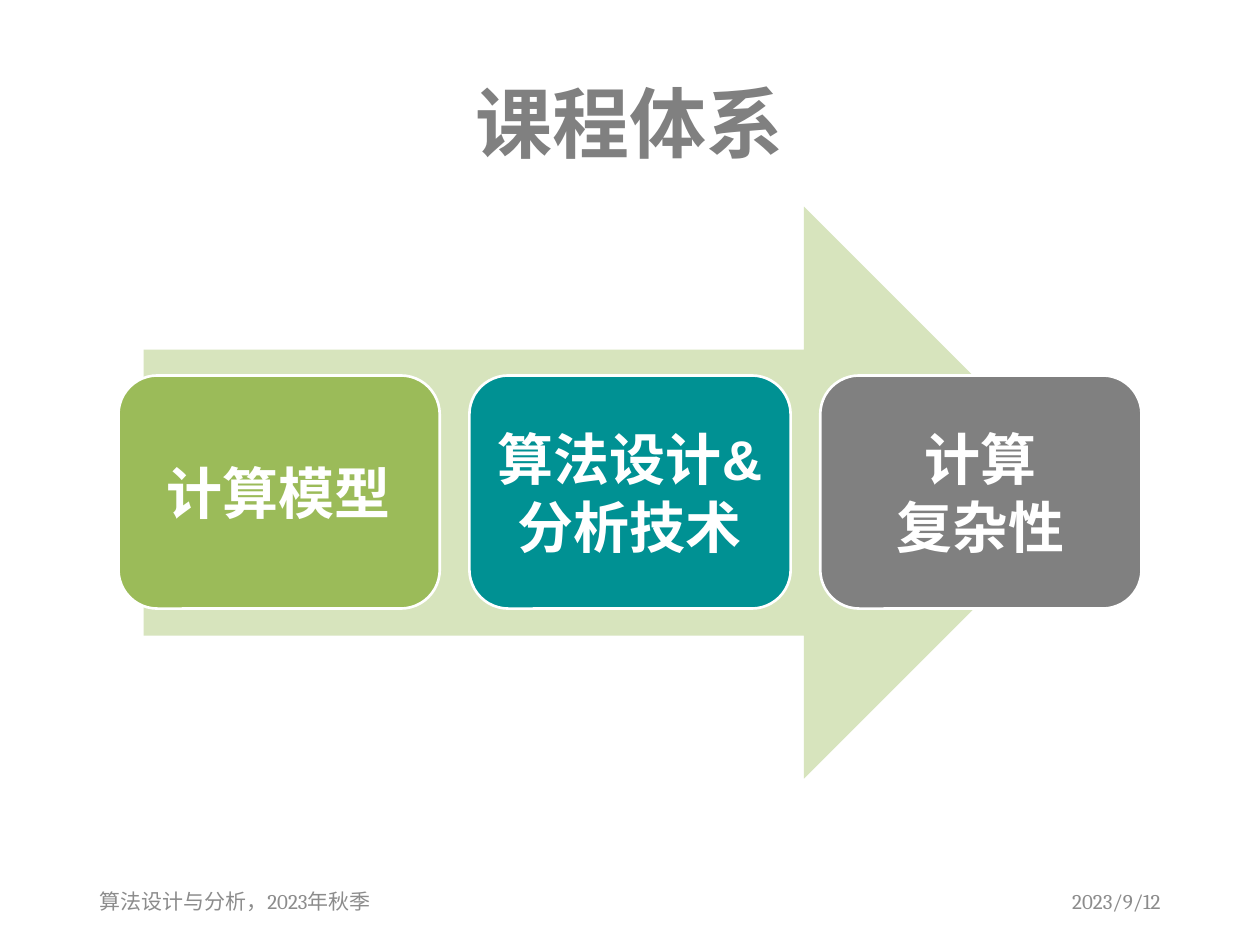
from pptx import Presentation
from pptx.dml.color import RGBColor
from pptx.enum import shapes, text
from pptx.util import Inches, Pt

WHITE = "FFFFFF"
GRAY = "808080"
FOOTER_GRAY = "8C8C8C"
CENTER = text.PP_ALIGN.CENTER


def color(value):
    return RGBColor.from_string(value)


def write(shape, lines, size, font, ink, align, bold=False, spacing=None, inset=0.1):
    frame = shape.text_frame
    frame.word_wrap = True
    frame.vertical_anchor = text.MSO_ANCHOR.MIDDLE
    frame.margin_left = frame.margin_right = Inches(inset)
    frame.text = "\n".join(lines)
    for para in frame.paragraphs:
        para.alignment = align
        para.line_spacing = spacing
        para.font.size = Pt(size)
        para.font.name = font
        para.font.bold = bold
        para.font.color.rgb = color(ink)


def add_text(page, place, line, size, font, ink, align, **style):
    box = page.shapes.add_textbox(*map(Inches, place))
    write(box, [line], size, font, ink, align, **style)


def add_block(page, kind, place, fill):
    block = page.shapes.add_shape(kind, *map(Inches, place))
    block.shadow.inherit = False
    block.fill.solid()
    block.fill.fore_color.rgb = color(fill)
    block.line.fill.background()
    return block


def add_stage(page, left, lines, fill):
    kind = shapes.MSO_SHAPE.ROUNDED_RECTANGLE
    stage = add_block(page, kind, (left, 2.98, 2.55, 1.85), fill)
    stage.line.color.rgb = color(WHITE)
    stage.line.width = Pt(1.5)
    write(stage, lines, 32, "Arial", WHITE, CENTER, bold=True, inset=0.13)


def main():
    deck = Presentation()
    deck.slide_width, deck.slide_height = Inches(10), Inches(7.5)
    page = deck.slides.add_slide(deck.slide_layouts[6])

    add_block(page, shapes.MSO_SHAPE.RIGHT_ARROW, (1.14, 1.64, 7.51, 4.54), "D7E4BD")
    add_text(page, (0.69, 0.58, 8.62, 0.87), "课程体系", 44, "Arial", GRAY, CENTER,
             bold=True, spacing=0.9)

    stages = [
        (["计算模型"], "9BBB59"),
        (["算法设计&分析技术"], "009193"),
        (["计算", "复杂性"], GRAY),
    ]
    for index, (lines, fill) in enumerate(stages):
        add_stage(page, 0.94 + 2.785 * index, lines, fill)

    footers = [
        (7.06, 2.25, "2023/9/12", text.PP_ALIGN.RIGHT),
        (0.69, 6, "算法设计与分析，2023年秋季", text.PP_ALIGN.LEFT),
    ]
    for left, width, line, align in footers:
        add_text(page, (left, 6.95, width, 0.4), line, 12, "Cambria", FOOTER_GRAY, align)

    deck.save("out.pptx")


if __name__ == "__main__":
    main()
